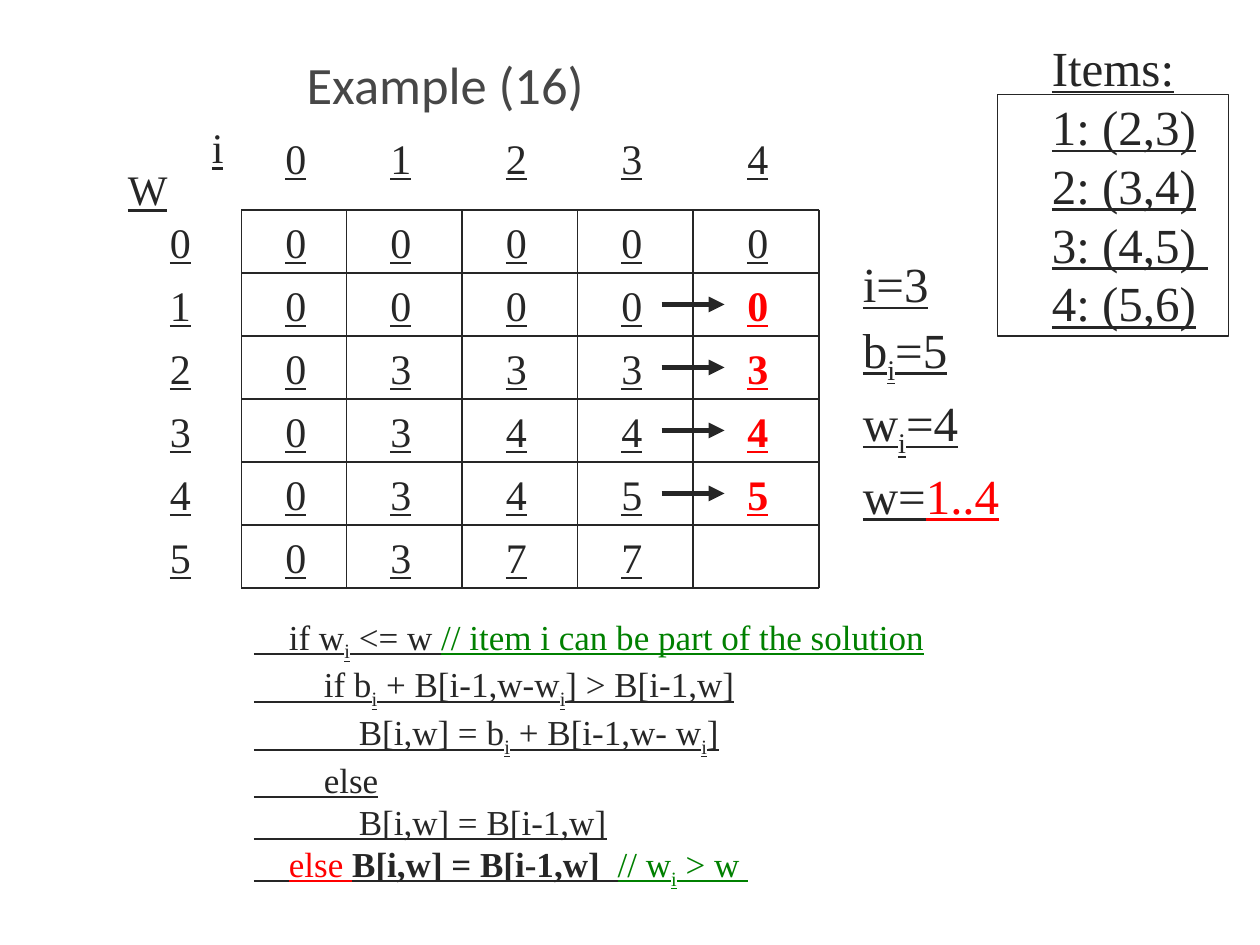
"""Build the knapsack example slide: value grid, item list and algorithm."""
from lxml import etree
from pptx import Presentation
from pptx.dml.color import RGBColor
from pptx.enum.shapes import MSO_CONNECTOR, MSO_SHAPE
from pptx.enum.text import MSO_ANCHOR, MSO_AUTO_SIZE, PP_ALIGN
from pptx.oxml.ns import qn
from pptx.util import Inches, Pt

STRAIGHT = MSO_CONNECTOR.STRAIGHT
RECTANGLE = MSO_SHAPE.RECTANGLE
MIDDLE = MSO_ANCHOR.MIDDLE
GROW = MSO_AUTO_SIZE.SHAPE_TO_FIT_TEXT
LEFT = PP_ALIGN.LEFT

INK = RGBColor(0x26, 0x26, 0x26)
TITLE_GRAY = RGBColor(0x47, 0x47, 0x47)
RED = RGBColor(0xFF, 0x00, 0x00)
GREEN = RGBColor(0x00, 0x80, 0x00)

SLIDE_W, SLIDE_H = Inches(10), Inches(7.5)
UNIT = SLIDE_W / 120
ROW_H = 6
COL_EDGES = [23, 33, 44, 55, 66, 78]
ROW_EDGES = [20 + ROW_H * n for n in range(7)]
CELL_LEFTS = [26, 36, 47, 58, 70]
CELL_W = 4.4
HEADER_TOP, LABEL_LEFT = 12, 15

VALUES = ["00000", "00000", "03333", "03444", "03455", "0377"]
NEW_COLUMN, NEW_ROWS = 4, range(1, 5)

BODY = {"name": "Times New Roman", "color": INK, "underline": True}
NEW = {"color": RED, "bold": True}
COMMENT = {"color": GREEN}
ACTIVE = {"color": RED}
BOLD = {"bold": True}
SUB = {"baseline": "-25000"}
SUB_COMMENT = SUB | COMMENT

ITEMS = [[("Items:", {})], [("1: (2,3)", {})], [("2: (3,4)", {})],
         [("3: (4,5) ", {})], [("4: (5,6)", {})]]
STATE = [
    [("i=3", {})],
    [("b", {}), ("i", SUB), ("=5", {})],
    [("w", {}), ("i", SUB), ("=4", {})],
    [("w=", {}), ("1..4", ACTIVE)],
]
INDENT = " " * 4
CODE = [
    (1, [("if w", {}), ("i", SUB), (" <= w ", {}),
         ("// item i can be part of the solution", COMMENT)]),
    (2, [("if b", {}), ("i", SUB), (" + B[i-1,w-w", {}), ("i", SUB),
         ("] > B[i-1,w]", {})]),
    (3, [("B[i,w] = b", {}), ("i", SUB), (" + B[i-1,w- w", {}), ("i", SUB),
         ("]", {})]),
    (2, [("else", {})]),
    (3, [("B[i,w] = B[i-1,w]", {})]),
    (1, [("else ", ACTIVE), ("B[i,w] = B[i-1,w]", BOLD), ("  ", {}),
         ("// w", COMMENT), ("i", SUB_COMMENT), (" > w ", COMMENT)]),
]


def units(*lengths):
    """Turn grid units into slide lengths."""
    return [round(n * UNIT) for n in lengths]


def add_run(p, text, style):
    """Append a run whose format comes from a dict."""
    r = p.add_run()
    r.text = text
    for key, value in style.items():
        if key == "color":
            r.font.color.rgb = value
        elif key == "baseline":
            r.font._element.set(key, value)
        else:
            setattr(r.font, key, value)


def add_title(s, text):
    """Place and format the title placeholder."""
    sp = s.shapes.title
    sp.left, sp.top, sp.width, sp.height = units(28, 4, 65, 8)
    tf = sp.text_frame
    tf.vertical_anchor = MIDDLE
    p = tf.paragraphs[0]
    p.alignment = LEFT
    add_run(p, text, {"name": "Calibri", "size": Pt(30), "color": TITLE_GRAY})


def add_text(s, box, lines, size, wrap=False, spacing=None):
    """Add a text box with one paragraph per list of runs."""
    tf = s.shapes.add_textbox(*units(*box)).text_frame
    tf.word_wrap = wrap
    tf.auto_size = GROW
    for n, runs in enumerate(lines):
        p = tf.add_paragraph() if n else tf.paragraphs[0]
        p.line_spacing = spacing
        for text, style in runs:
            add_run(p, text, BODY | {"size": Pt(size)} | style)


def add_label(s, left, top, text, style=None, width=CELL_W):
    """Add a single grid entry or axis label."""
    add_text(s, (left, top, width, ROW_H), [[(text, style or {})]], 24)


def add_line(s, x1, y1, x2, y2, width=0.75, arrow=False):
    """Add a straight line, with an arrowhead at its end if asked."""
    line = s.shapes.add_connector(STRAIGHT, *units(x1, y1, x2, y2))
    line.line.color.rgb = INK
    line.line.width = Pt(width)
    if arrow:
        ln = line.line._get_or_add_ln()
        etree.SubElement(ln, qn("a:tailEnd"), type="triangle")
    etree.SubElement(line._element.spPr, qn("a:effectLst"))


def add_grid(s):
    """Draw the grid lines, its labels, values and arrows."""
    for x in COL_EDGES:
        add_line(s, x, ROW_EDGES[0], x, ROW_EDGES[-1])
    for y in ROW_EDGES:
        add_line(s, COL_EDGES[0], y, COL_EDGES[-1], y)
    add_label(s, 11, 15, "W", width=6.2)
    add_label(s, 19, 11, "i", width=3.5)
    for col, left in enumerate(CELL_LEFTS):
        add_label(s, left, HEADER_TOP, str(col))
    for row, (top, values) in enumerate(zip(ROW_EDGES, VALUES)):
        add_label(s, LABEL_LEFT, top, str(row))
        for col, (left, value) in enumerate(zip(CELL_LEFTS, values)):
            is_new = col == NEW_COLUMN and row in NEW_ROWS
            add_label(s, left, top, value, NEW if is_new else None)
    for row in NEW_ROWS:
        y = ROW_EDGES[row] + ROW_H / 2
        add_line(s, 63, y, 69, y, 3, arrow=True)


def add_frame(s, box):
    """Add an unfilled outline."""
    sp = s.shapes.add_shape(RECTANGLE, *units(*box))
    sp.shadow.inherit = False
    sp.fill.background()
    sp.line.color.rgb = INK
    sp.line.width = Pt(0.75)


def main():
    """Build and save the slide."""
    prs = Presentation()
    prs.slide_width, prs.slide_height = SLIDE_W, SLIDE_H
    s = prs.slides.add_slide(prs.slide_layouts[5])
    add_title(s, "Example (16)")
    code = [[(INDENT * level, {})] + runs for level, runs in CODE]
    add_text(s, (23, 58, 91, 25.2), code, 20, wrap=True)
    add_grid(s)
    add_text(s, (81, 23, 19, 26), STATE, 28, wrap=True, spacing=1.1)
    add_text(s, (99, 3, 17.3, 29.3), ITEMS, 28)
    add_frame(s, (95, 9, 22, 23))
    prs.save("out.pptx")


if __name__ == "__main__":
    main()
